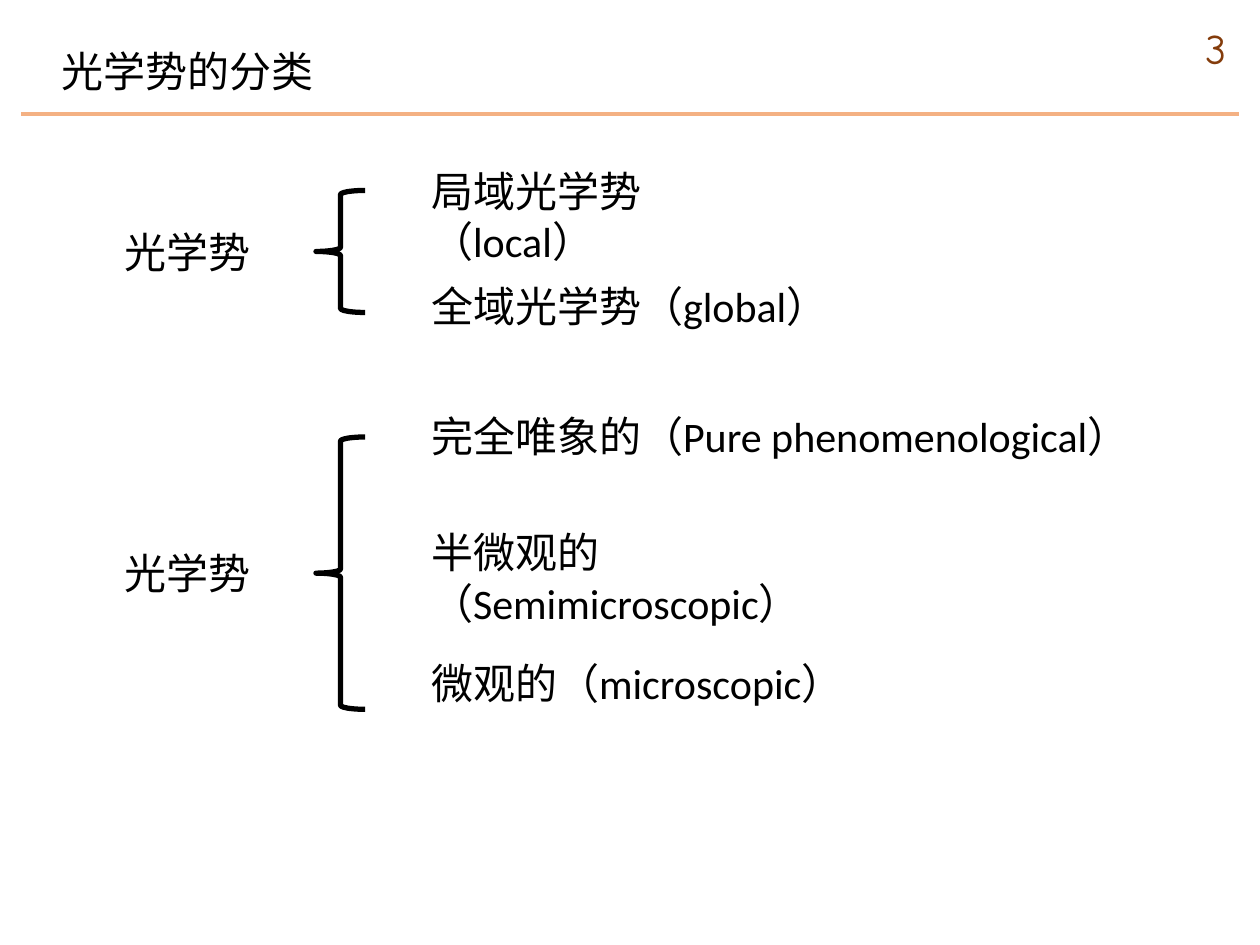
from lxml import etree
from pptx import Presentation
from pptx.dml.color import RGBColor
from pptx.enum.shapes import MSO_CONNECTOR as Conn, MSO_SHAPE as Shape
from pptx.enum.text import MSO_AUTO_SIZE as Fit
from pptx.oxml.ns import qn
from pptx.util import Cm, Pt

BLACK = RGBColor(0x00, 0x00, 0x00)
BROWN = RGBColor(0x84, 0x3C, 0x0B)
PEACH = RGBColor(0xF4, 0xB1, 0x83)

BODY = {"name": "Calibri", "size": Pt(24)}
PAGE = {"name": "Comic Neue", "size": Pt(24)}
FLUSH = {"margin_left": 0, "margin_top": 0, "margin_right": 0,
         "margin_bottom": 0, "word_wrap": True}
LINE_H = 1.02


def put(obj, values):
    for key, val in values.items():
        setattr(obj, key, val)


def add_text(slide, text, left, top, width, height=LINE_H,
             font=BODY, color=BLACK, frame=FLUSH):
    box = slide.shapes.add_textbox(Cm(left), Cm(top), Cm(width), Cm(height))
    put(box.text_frame, {**frame, "auto_size": Fit.SHAPE_TO_FIT_TEXT})
    run = box.text_frame.paragraphs[0].add_run()
    run.text = text
    put(run.font, font)
    run.font.color.rgb = color


def add_header(slide, left, top, width, title, page):
    # Rule under the title
    base = Cm(top + 1.96)
    rule = slide.shapes.add_connector(
        Conn.STRAIGHT, Cm(left), base, Cm(left + width), base)
    rule.line.color.rgb = PEACH
    rule.line.width = Pt(2.25)
    etree.SubElement(rule._element.spPr, qn("a:effectLst"))
    # Page number and title
    add_text(slide, page, left + width - 0.92, top, 1.04, 1.27,
             PAGE, BROWN, {"word_wrap": False})
    add_text(slide, title, left + 0.81, top + 0.58, 5.13)


def add_group(slide, left, top, height, label, rows):
    # Label, centred on the brace
    add_text(slide, label, left, top + (height - LINE_H) / 2, 2.82)
    # Brace
    brace = slide.shapes.add_shape(
        Shape.LEFT_BRACE, Cm(left + 3.86), Cm(top), Cm(0.99), Cm(height))
    brace.shadow.inherit = False
    brace.fill.background()
    brace.line.color.rgb = BLACK
    brace.line.width = Pt(3)
    # Kinds
    for text, drop, width in rows:
        add_text(slide, text, left + 6.18, top + drop, width)


def main():
    deck = Presentation()
    put(deck, {"slide_width": Cm(25.4), "slide_height": Cm(19.05)})
    slide = deck.slides.add_slide(deck.slide_layouts[6])

    add_header(slide, 0.43, 0.33, 24.54, "光学势的分类", "3")
    add_group(slide, 2.51, 3.84, 2.46, "光学势", [
        ("局域光学势（local）", -0.51, 6.73),
        ("全域光学势（global）", 1.82, 10.26),
    ])
    add_group(slide, 2.51, 8.81, 5.49, "光学势", [
        ("完全唯象的（Pure phenomenological）", -0.53, 15.62),
        ("半微观的（Semimicroscopic）", 1.81, 10.26),
        ("微观的（microscopic）", 4.45, 10.26),
    ])
    deck.save("out.pptx")


if __name__ == "__main__":
    main()
